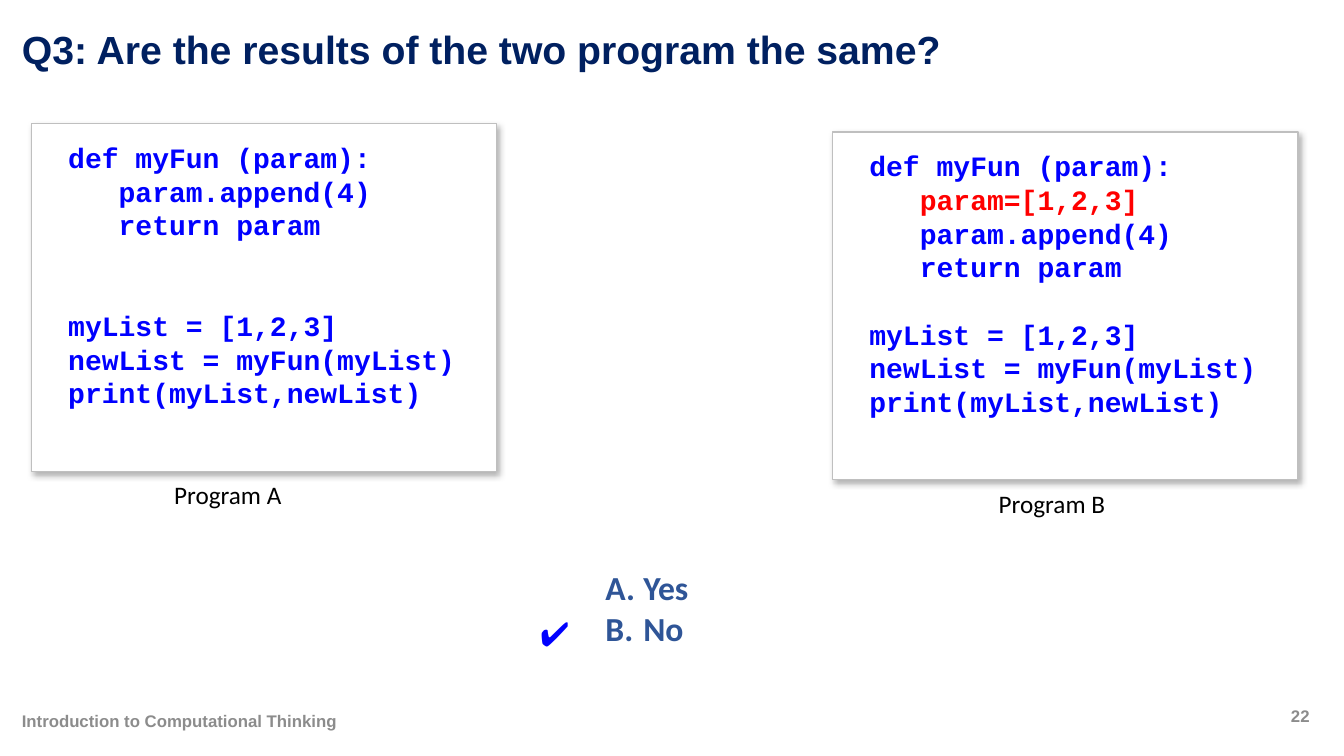
from lxml import etree
from pptx import Presentation
from pptx import util as u
from pptx.dml.color import RGBColor
from pptx.enum import shapes, text
from pptx.oxml import parse_xml
from pptx.oxml.ns import nsdecls, qn

COLORS = {"title": "002060", "muted": "8C8C8C", "code": "0000FF", "changed": "FF0000",
          "answer": "2F5597", "black": "000000", "white": "FFFFFF", "border": "BFBFBF"}


def rgb(name):
    return RGBColor.from_string(COLORS[name])


def add_text(p, content, font="Calibri", size=18, color="black", bold=False):
    r = p.add_run()
    r.text = content
    r.font.name, r.font.size, r.font.bold = font, u.Pt(size), bold
    r.font.color.rgb = rgb(color)


class Deck:
    CODE = dict(font="Courier New", size=20, bold=True)
    CODE_PITCH = 24
    FOOTER = dict(font="Arial", size=12, color="muted", bold=True)

    def __init__(self):
        self.prs = Presentation()
        self.prs.slide_width, self.prs.slide_height = u.Cm(33.87), u.Cm(19.05)
        self.s = self.prs.slides.add_slide(self.prs.slide_layouts[5])

    def title(self, content, x, y, w, h):
        sp = self.s.shapes.title
        sp.left, sp.top, sp.width, sp.height = map(u.Cm, (x, y, w, h))
        tf = sp.text_frame
        tf.auto_size = text.MSO_AUTO_SIZE.NONE
        tf.vertical_anchor = text.MSO_ANCHOR.MIDDLE
        p = tf.paragraphs[0]
        p.alignment, p.line_spacing = text.PP_ALIGN.LEFT, 0.9
        add_text(p, content, font="Arial", size=28, color="title", bold=True)

    def frame(self, x, y, w, h):
        tf = self.s.shapes.add_textbox(*map(u.Cm, (x, y, w, h))).text_frame
        tf.word_wrap = True
        return tf

    def label(self, content, x, y, w, h, middle=False, center=False, **fmt):
        tf = self.frame(x, y, w, h)
        if middle:
            tf.vertical_anchor = text.MSO_ANCHOR.MIDDLE
        p = tf.paragraphs[0]
        if center:
            p.alignment = text.PP_ALIGN.CENTER
        add_text(p, content, **fmt)

    def card(self, x, y, w, h):
        sp = self.s.shapes.add_shape(shapes.MSO_SHAPE.RECTANGLE, *map(u.Cm, (x, y, w, h)))
        sp.fill.solid()
        sp.fill.fore_color.rgb = rgb("white")
        sp.line.color.rgb = rgb("border")
        sp.line.width = u.Pt(1)
        # Soft shadow towards the lower right
        sp.shadow.inherit = False
        sp.element.spPr.find(qn("a:effectLst")).append(parse_xml(
            f'<a:outerShdw {nsdecls("a")} blurRad="57150" dist="33020" dir="3180000" '
            f'algn="tl" rotWithShape="0"><a:srgbClr val="{COLORS["black"]}">'
            '<a:alpha val="30000"/></a:srgbClr></a:outerShdw>'))

    def code(self, function, main, gap_lines, x, y, w, h, changed=None):
        tf = self.frame(x, y, w, h)
        for i, line in enumerate(function + main):
            p = tf.paragraphs[0] if i == 0 else tf.add_paragraph()
            p.line_spacing = u.Pt(self.CODE_PITCH)
            if i == len(function):
                p.space_before = u.Pt(self.CODE_PITCH * gap_lines)
            add_text(p, line, color="changed" if line == changed else "code", **self.CODE)

    def choices(self, items, x, y, w, h):
        tf = self.frame(x, y, w, h)
        for i, item in enumerate(items):
            p = tf.paragraphs[0] if i == 0 else tf.add_paragraph()
            pPr = p._p.get_or_add_pPr()
            pPr.set("marL", "342900")
            pPr.set("indent", "-342900")
            etree.SubElement(pPr, qn("a:buFont"), typeface="+mj-lt")
            etree.SubElement(pPr, qn("a:buAutoNum"), type="alphaUcPeriod")
            add_text(p, item, size=24, color="answer", bold=True)


def main():
    deck = Deck()
    deck.title("Q3: Are the results of the two program the same?", 0.3, 0.43, 32.26, 1.73)

    # Two programs side by side
    head = "def myFun (param):"
    body = ["   param.append(4)", "   return param"]
    reset = "   param=[1,2,3]"
    calls = ["myList = [1,2,3]", "newList = myFun(myList)", "print(myList,newList)"]
    programs = [("Program A", [head] + body, 2, 0.79, 3.12, 3.35),
                ("Program B", [head, reset] + body, 1, 20.98, 3.33, 3.94)]
    for name, function, gap_lines, x, y, label_dx in programs:
        deck.card(x, y, 11.73, 8.76)
        deck.code(function, calls, gap_lines, x + 0.68, y + 0.3, 11.05, 7.09, changed=reset)
        deck.label(name, x + label_dx, y + 8.84, 3.89, 1.02)

    # Answers and tick
    deck.choices(["Yes", "No"], 15.01, 14.17, 2.84, 2.31)
    deck.label("✔", 13.36, 15.32, 1.47, 1.27, size=24, color="code", bold=True)

    # Footer
    deck.label("Introduction to Computational Thinking", 0.3, 17.65, 20.93, 1.02,
               middle=True, **deck.FOOTER)
    deck.label("22", 32.16, 17.53, 1.22, 1.02, middle=True, center=True, **deck.FOOTER)
    deck.prs.save("out.pptx")


if __name__ == "__main__":
    main()
